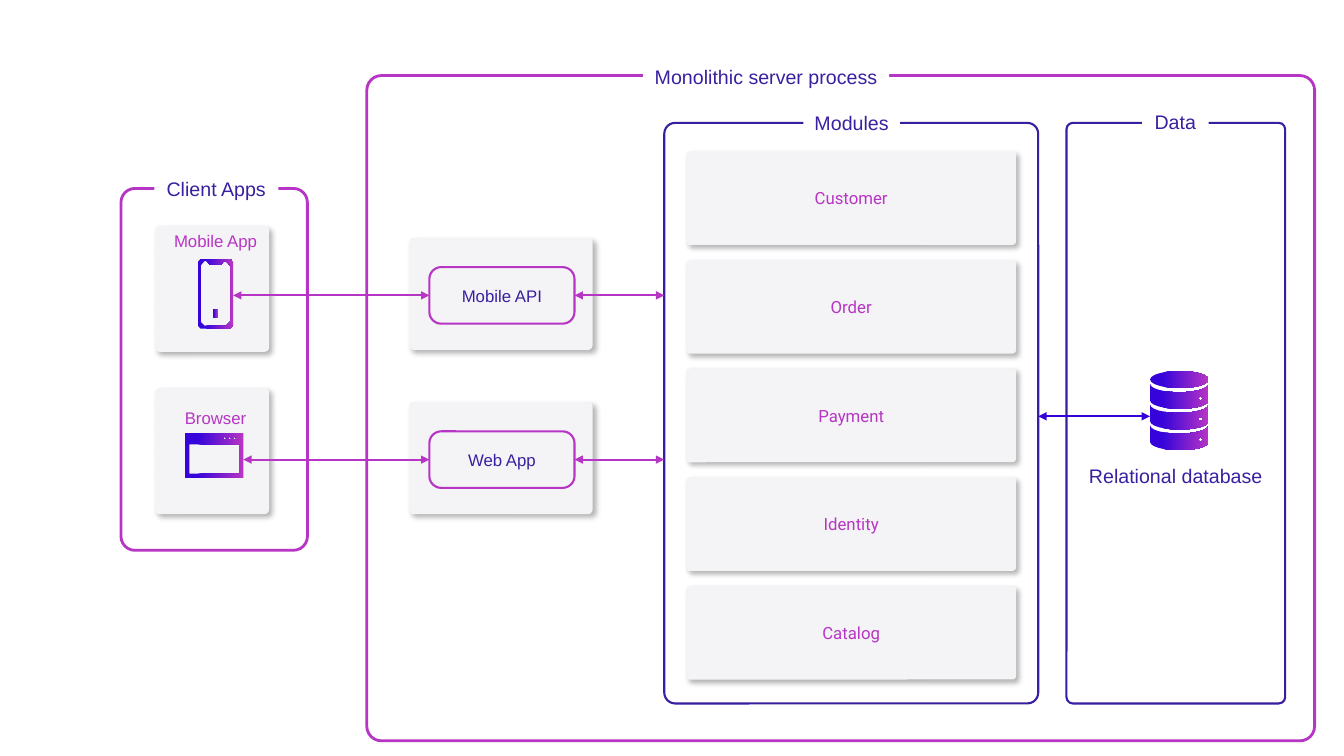
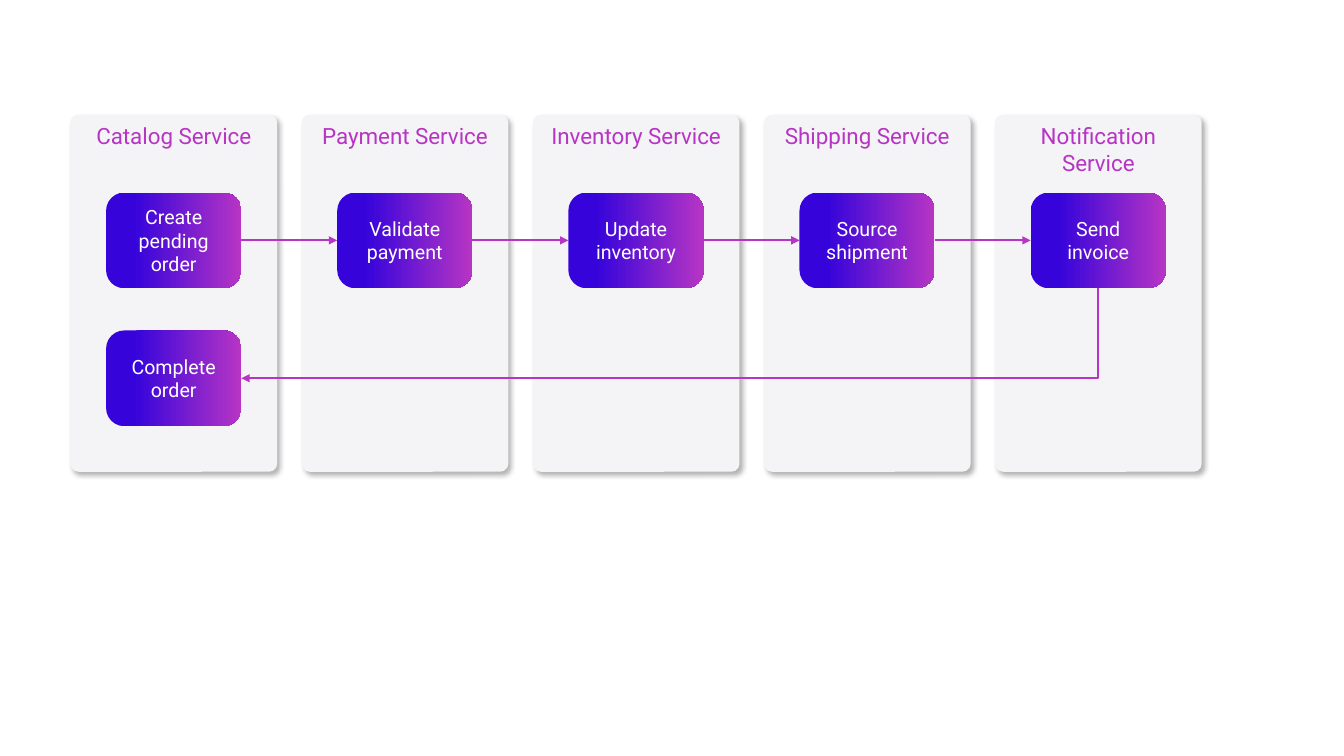
from dataclasses import dataclass
from math import cos, pi, sin

from lxml.etree import SubElement
from pptx import Presentation
from pptx.dml.color import RGBColor
from pptx.enum.shapes import MSO_CONNECTOR, MSO_SHAPE
from pptx.enum.text import MSO_ANCHOR, PP_ALIGN
from pptx.oxml.ns import qn
from pptx.util import Pt


@dataclass(frozen=True)
class Theme:
    pink: RGBColor = RGBColor(0xB7, 0x35, 0xC4)
    blue: RGBColor = RGBColor(0x36, 0x04, 0xDB)
    navy: RGBColor = RGBColor(0x39, 0x1E, 0x9F)
    ink: RGBColor = RGBColor(0x3A, 0x20, 0xA0)
    grey: RGBColor = RGBColor(0xF4, 0xF3, 0xF5)
    white: RGBColor = RGBColor(0xFF, 0xFF, 0xFF)
    sans: str = "Arial"
    body: str = "Roboto"
    small: int = 12
    mid: int = 14
    large: int = 16
    thin: float = 1.5
    thick: float = 2


theme = Theme()
ROUND, RECT, OVAL = MSO_SHAPE.ROUNDED_RECTANGLE, MSO_SHAPE.RECTANGLE, MSO_SHAPE.OVAL
BLEND = "blend"


def dress(shape, fill=None, edge=None, width=theme.thin, bend=None, text="",
          size=theme.small, font=theme.sans, hue=theme.pink, top=False, wrap=True):
    """Set fill, outline, corners and text; grey cards also get a soft shadow."""
    shape.shadow.inherit = False
    if fill is None:
        shape.fill.background()
    elif fill == BLEND:
        shape.fill.gradient()
        shape.fill.gradient_angle = 0
        stops = zip(shape.fill.gradient_stops, (0.21, 1), (theme.blue, theme.pink))
        for stop, place, tint in stops:
            stop.position = place
            stop.color.rgb = tint
    else:
        shape.fill.solid()
        shape.fill.fore_color.rgb = fill
    if edge is None:
        shape.line.fill.background()
    else:
        shape.line.color.rgb = edge
        shape.line.width = Pt(width)
    if bend is not None:
        shape.adjustments[0] = bend
    if fill == theme.grey:
        effects = shape.element.spPr.find(qn("a:effectLst"))
        shade = SubElement(effects, qn("a:outerShdw"), blurRad=str(Pt(4)),
                           dist=str(Pt(3)), dir="2700000", algn="tl", rotWithShape="0")
        tone = SubElement(shade, qn("a:srgbClr"), val="000000")
        SubElement(tone, qn("a:alpha"), val="30000")
    if text:
        frame = shape.text_frame
        frame.text = text
        frame.word_wrap = wrap
        frame.vertical_anchor = MSO_ANCHOR.TOP if top else MSO_ANCHOR.MIDDLE
        for para in frame.paragraphs:
            para.alignment = PP_ALIGN.CENTER
            para.font.size = Pt(size)
            para.font.name = font
            para.font.color.rgb = hue
    return shape


def link(shapes, ends, start=None, stop=None, hue=theme.pink, both=False,
         kind=MSO_CONNECTOR.STRAIGHT):
    """Draw an arrow; start and stop are optional (shape, side) pairs."""
    line = shapes.add_connector(kind, *map(Pt, ends))
    if start:
        line.begin_connect(*start)
    if stop:
        line.end_connect(*stop)
    line.line.color.rgb = hue
    line.line.width = Pt(theme.thin)
    props = line.element.spPr
    stroke = props.find(qn("a:ln"))
    for tip in ("a:headEnd", "a:tailEnd") if both else ("a:tailEnd",):
        SubElement(stroke, qn(tip), type="triangle")
    SubElement(props, qn("a:effectLst"))
    return line


deck = Presentation()
deck.slide_width, deck.slide_height = Pt(960), Pt(540)
blank = deck.slide_layouts[6]

# Slide 1: monolithic server
shapes = deck.slides.add_slide(blank).shapes

# Panels, each with a title that breaks its top edge
panels = [
    ("Client Apps", (86.4, 134.6, 133.2, 258.5), (110.2, 122.4, 88.6), 0.075, theme.pink, theme.thick),
    ("Monolithic server process", (262, 54, 677, 475.2), (459.4, 42.5, 175.7), 0.022, theme.pink, theme.thick),
    ("Modules", (474.5, 87.8, 267.1, 414.7), (573.8, 75.6, 69.1), 0.029, theme.navy, theme.thin),
    ("Data", (761.8, 87.8, 156.2, 414.7), (815.8, 75, 47.5), 0.029, theme.navy, theme.thin),
]
for title, area, head, bend, edge, width in panels:
    dress(shapes.add_shape(ROUND, *map(Pt, area)), edge=edge, width=width, bend=bend)
    dress(shapes.add_shape(RECT, *map(Pt, (*head, 24.5))), theme.white,
          text=title, size=theme.mid, hue=theme.ink, wrap=False)

for row, name in enumerate(("Customer", "Order", "Payment", "Identity", "Catalog")):
    area = (490.3, 108 + 77.6 * row, 235.5, 67)
    dress(shapes.add_shape(ROUND, *map(Pt, area)), theme.grey, bend=0.039,
          text=name, font=theme.body)

# Each client reaches the modules through its own gateway
routes = [
    ("Mobile App", 161.3, 161.3, 166.5, "Mobile API", 211),
    ("Browser", 277.2, 288, 173.8, "Web App", 328.3),
]
for app, card, label, edge, gate, mid in routes:
    for area in ((110.9, card, 81.4, 90), (292.3, mid - 41, 131, 80)):
        dress(shapes.add_shape(ROUND, *map(Pt, area)), theme.grey, bend=0.039)
    dress(shapes.add_textbox(*map(Pt, (114, label, 80, 21.6))), text=app, wrap=False)
    port = dress(shapes.add_shape(ROUND, *map(Pt, (306.7, mid - 20.2, 103.7, 40.4))),
                 edge=theme.pink, bend=0.209, text=gate, hue=theme.ink, wrap=False)
    link(shapes, (edge, mid, 306.7, mid), stop=(port, 1), both=True)
    link(shapes, (410.4, mid, 474.5, mid), start=(port, 3), both=True)

# Icons: each is an outline followed by its holes
turn = [(cos(pi * step / 12), sin(pi * step / 12)) for step in range(24)]
bowl = [(cos(pi * step / 12), sin(pi * step / 12)) for step in range(13)]
phone = [
    [(143.2, 185), (164.6, 185), (166.5, 187), (166.5, 232.7), (164.6, 234.7),
     (143.2, 234.7), (141.3, 232.7), (141.3, 187)],
    [(146, 186.6), (147.6, 186.6), (149.6, 188.9), (157.8, 188.9), (160, 186.6),
     (161.6, 186.6), (164.3, 189.6), (164.3, 230), (161.6, 232.6),
     (146, 232.6), (143.4, 230), (143.4, 189.6)],
]
window = [
    [(132.3, 309), (173.8, 309), (173.8, 341.3), (132.3, 341.3)],
    [(135.3, 317.5), (170.8, 317.5), (170.8, 338.4), (135.3, 338.4)],
]
for dot in (160.6, 164.2, 167.8):
    window.append([(dot + x, 313 + y) for x, y in turn])

icons = [phone, window]
for band in range(3):
    rim = 274.2 + 14.8 * band
    upper = [(842.4 + 20.9 * x, rim + 6 * y) for x, y in bowl]
    lower = [(x, y + 11.9) for x, y in reversed(upper)]
    icons.append([upper + lower, [(857.5 + 1.4 * x, rim + 10.3 + 1.4 * y) for x, y in turn]])

for icon in icons:
    first, *rest = icon
    pen = shapes.build_freeform(*map(Pt, first[0]))
    pen.add_line_segments([tuple(map(Pt, spot)) for spot in first[1:]])
    for hole in rest:
        pen.move_to(*map(Pt, hole[0]))
        pen.add_line_segments([tuple(map(Pt, spot)) for spot in hole[1:]])
    dress(pen.convert_to_shape(), BLEND)

dress(shapes.add_shape(ROUND, *map(Pt, (152, 220.4, 3.6, 6.6))), BLEND)
dress(shapes.add_shape(OVAL, *map(Pt, (821.5, 265, 41.8, 12.2))), BLEND)
dress(shapes.add_textbox(*map(Pt, (761.8, 327.6, 156.2, 24.5))),
      text="Relational database", size=theme.mid, hue=theme.ink, wrap=False)
link(shapes, (741.6, 297.4, 821.5, 297.4), hue=theme.blue, both=True)

# Slide 2: order flow across services
shapes = deck.slides.add_slide(blank).shapes
flow = [
    ("Catalog Service", "Create pending order"),
    ("Payment Service", "Validate payment"),
    ("Inventory Service", "Update inventory"),
    ("Shipping Service", "Source shipment"),
    ("Notification Service", "Send\ninvoice"),
]
tasks = []
for col, (name, task) in enumerate(flow):
    left = 50.4 + 165.1 * col
    dress(shapes.add_shape(ROUND, *map(Pt, (left, 82, 147.6, 255))), theme.grey,
          bend=0.039, text=name, size=theme.large, font=theme.body, top=True)
    tasks.append((task, left + 25.4, 137.5))
tasks.append(("Complete order", 75.8, 236))

steps = [
    dress(shapes.add_shape(ROUND, *map(Pt, (left, top, 96.6, 68.4))), BLEND, bend=0.19,
          text=task, size=theme.mid, font=theme.body, hue=theme.white)
    for task, left, top in tasks
]
*chain, done = steps
for prev, step in zip(chain, chain[1:]):
    link(shapes, (0, 0, 0, 0), (prev, 3), (step, 1))

# The way back drops from the last step, then runs left: a quarter-turned elbow
last = chain[-1]
back = link(shapes, (0, 0, 0, 0), (last, 2), (done, 3), kind=MSO_CONNECTOR.ELBOW)
right, low = last.left + last.width // 2, last.top + last.height
run, drop = right - done.left - done.width, done.top + done.height // 2 - low
back.element.spPr.find(qn("a:prstGeom")).set("prst", "bentConnector2")
turned = back.element.spPr.find(qn("a:xfrm"))
turned.set("rot", "5400000")
turned.set("flipH", "0")
back.left, back.top = right - (run + drop) // 2, low + (drop - run) // 2
back.width, back.height = drop, run

deck.save("out.pptx")
